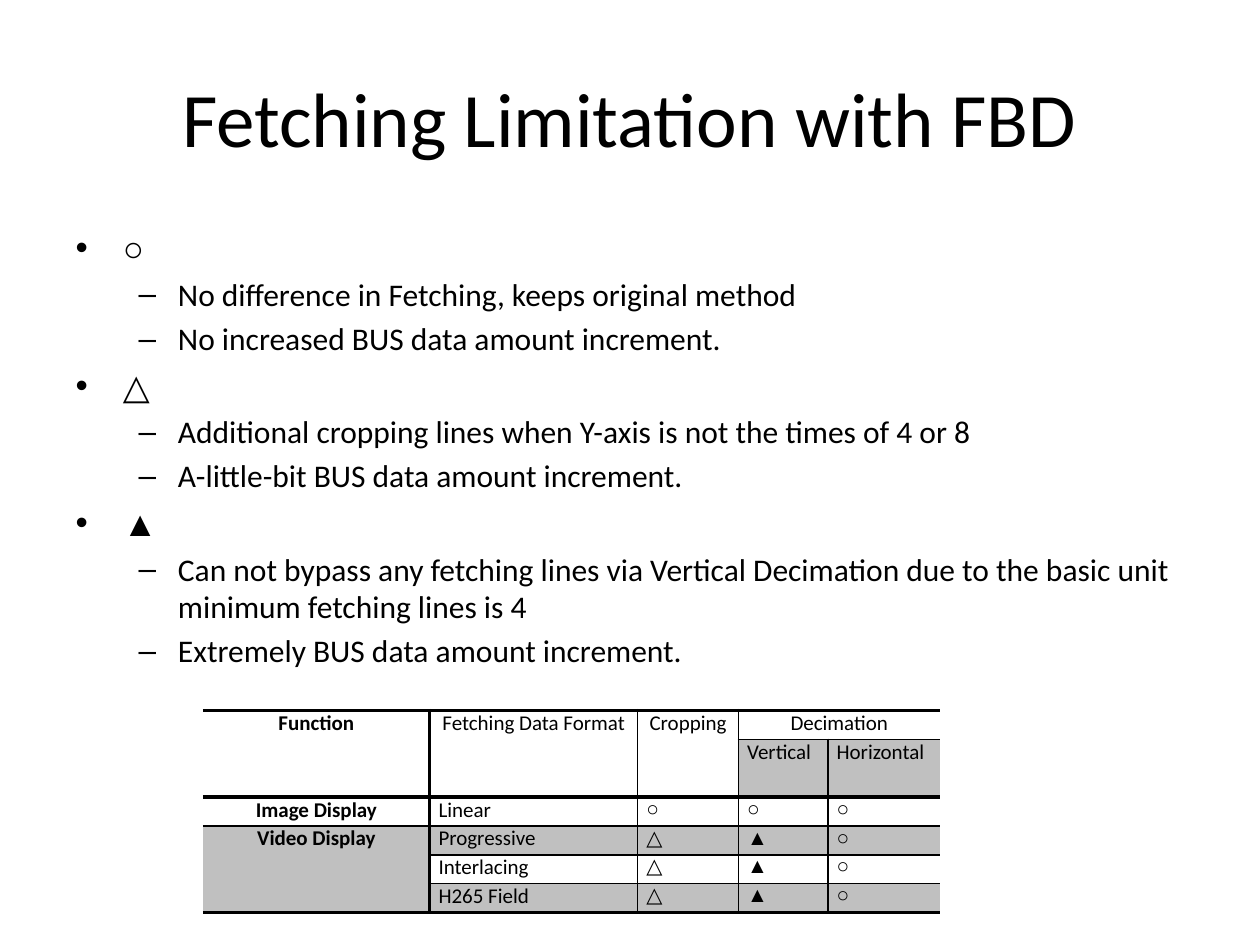
from lxml import etree
from pptx import Presentation, util as u
from pptx.dml.color import RGBColor
from pptx.enum import text as t
from pptx.oxml import ns

TITLE = "Fetching Limitation with FBD"
NOTES = [
    ("○", ["No difference in Fetching, keeps original method",
           "No increased BUS data amount increment."]),
    ("△", ["Additional cropping lines when Y-axis is not the times of 4 or 8",
           "A-little-bit BUS data amount increment."]),
    ("▲", ["Can not bypass any fetching lines via Vertical Decimation due to "
           "the basic unit minimum fetching lines is 4",
           "Extremely BUS data amount increment."]),
]
GRID = [
    ["Function", "Fetching Data Format", "Cropping", "Decimation", ""],
    ["", "", "", "Vertical", "Horizontal"],
    ["Image Display", "Linear", "○", "○", "○"],
    ["Video Display", "Progressive", "△", "▲", "○"],
    ["", "Interlacing", "△", "▲", "○"],
    ["", "H265 Field", "△", "▲", "○"],
]
SPANS = [(0, 0, 1, 0), (0, 1, 1, 1), (0, 2, 1, 2), (0, 3, 0, 4), (3, 0, 5, 0)]
COLS = [129.6, 118.8, 57.6, 51.1, 64.1]
ROWS = [16.5, 33, 16.5, 16.5, 16.5, 16.5]
ACROSS = [2.25, 1, 2.25, 1, 1, 1, 2.25]
DOWN = [0, 2.25, 1, 1, 1, 0]
BOX = {"title": (36, 21.6, 648, 90), "body": (36, 126, 648, 356.4),
       "table": (116, 406, sum(COLS), sum(ROWS))}
THEME = {"ink": "000000", "shade": "C0C0C0", "font": "Calibri",
         "mark": "Arial", "title": 44, "head": 20, "item": 18, "cell": 12}


def write(para, words, size, bold=False, align=None, level=0):
    para.level = level
    para.alignment = align
    run = para.add_run()
    run.text = words
    font = run.font
    font.name = THEME["mark" if words in "○△▲" else "font"]
    font.size = u.Pt(THEME[size])
    font.bold = bold
    font.color.rgb = RGBColor.from_string(THEME["ink"])


def place(shape, box):
    shape.left, shape.top, shape.width, shape.height = map(u.Pt, box)


def region(row, col):
    for span in SPANS:
        if span[0] <= row <= span[2] and span[1] <= col <= span[3]:
            return span
    return row, col, row, col


def edges(row, col):
    top, left, low, right = region(row, col)
    if (row, col) == (top, left):
        return DOWN[left], DOWN[right + 1], ACROSS[top], ACROSS[low + 1]
    return (DOWN[col] if col == left else 0,
            DOWN[col + 1] if col == right else 0,
            ACROSS[row] if row == top else 0,
            ACROSS[row + 1] if row == low else 0)


def border(cell, widths):
    props = cell._tc.get_or_add_tcPr()
    for side, width in zip("LRTB", widths):
        line = etree.SubElement(props, ns.qn("a:ln" + side), w=str(u.Pt(width)))
        if width:
            fill = etree.SubElement(line, ns.qn("a:solidFill"))
            etree.SubElement(fill, ns.qn("a:srgbClr"), val=THEME["ink"])
        else:
            etree.SubElement(line, ns.qn("a:noFill"))


def fill_body(frame):
    paras = [(mark, 0) for mark in ()]
    for mark, items in NOTES:
        paras += [(mark, 0)] + [(item, 1) for item in items]
    for i, (words, level) in enumerate(paras):
        para = frame.add_paragraph() if i else frame.paragraphs[0]
        write(para, words, "item" if level else "head", level=level)


def add_grid(slide):
    frame = slide.shapes.add_table(len(ROWS), len(COLS), *map(u.Pt, BOX["table"]))
    table = frame.table
    table.first_row = table.horz_banding = False
    for col, width in zip(table.columns, COLS):
        col.width = u.Pt(width)
    for row, height in zip(table.rows, ROWS):
        row.height = u.Pt(height)
    for top, left, low, right in SPANS:
        table.cell(top, left).merge(table.cell(low, right))
    for r, line in enumerate(GRID):
        for c, words in enumerate(line):
            cell = table.cell(r, c)
            cell.margin_left = cell.margin_right = u.Pt(5)
            cell.margin_top = cell.margin_bottom = 0
            border(cell, edges(r, c))
            if region(r, c)[0] % 2:
                cell.fill.solid()
                cell.fill.fore_color.rgb = RGBColor.from_string(THEME["shade"])
            else:
                cell.fill.background()
            if words:
                mid = t.PP_ALIGN.CENTER if r == 0 or c == 0 else t.PP_ALIGN.LEFT
                write(cell.text_frame.paragraphs[0], words, "cell",
                      bold=c == 0, align=mid)


def main():
    deck = Presentation()
    deck.slide_width, deck.slide_height = u.Pt(720), u.Pt(540)
    slide = deck.slides.add_slide(deck.slide_layouts[1])
    title, body = slide.shapes.title, slide.placeholders[1]
    place(title, BOX["title"])
    place(body, BOX["body"])
    title.text_frame.vertical_anchor = t.MSO_ANCHOR.MIDDLE
    write(title.text_frame.paragraphs[0], TITLE, "title", align=t.PP_ALIGN.CENTER)
    fill_body(body.text_frame)
    add_grid(slide)
    deck.save("out.pptx")


if __name__ == "__main__":
    main()
